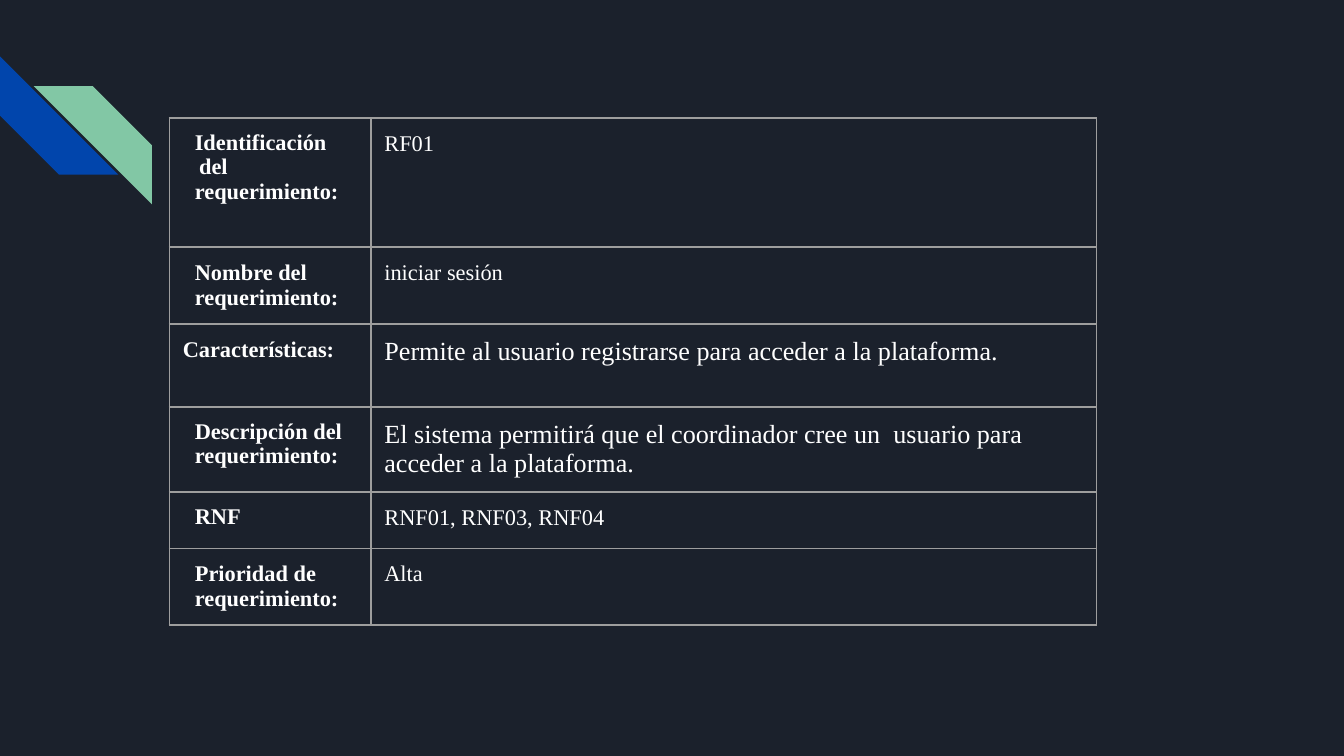
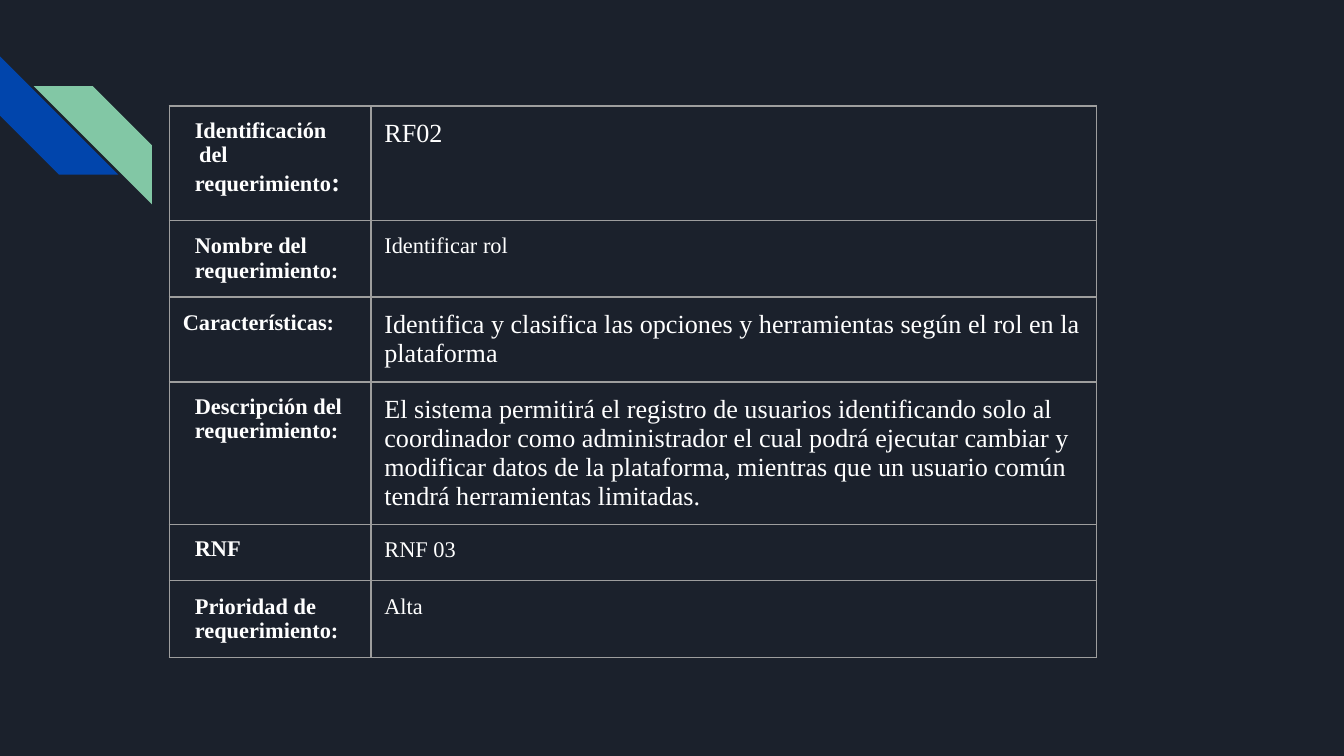
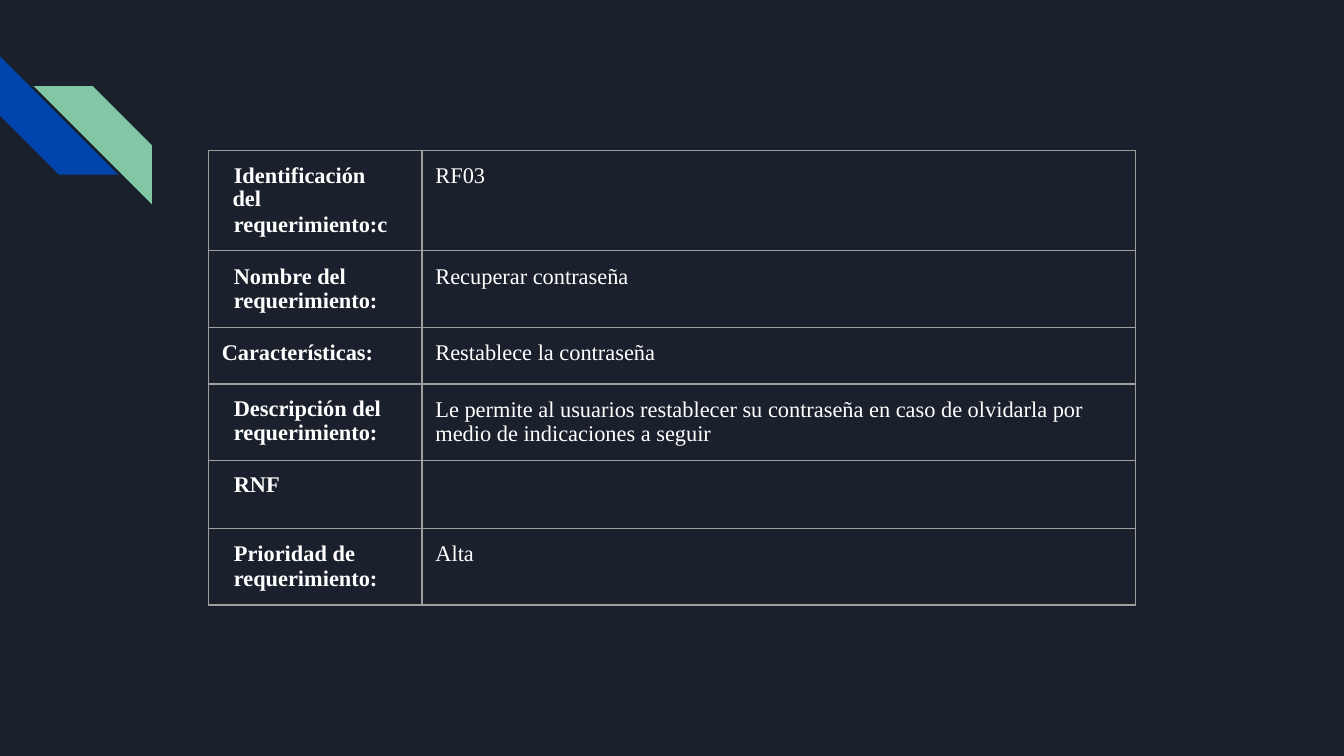
from dataclasses import dataclass

from lxml.etree import SubElement
from pptx import Presentation
from pptx.dml.color import RGBColor
from pptx.enum.shapes import MSO_SHAPE
from pptx.oxml.ns import qn
from pptx.util import Inches, Pt


@dataclass(frozen=True)
class Theme:
    """Colours, type sizes and measures of the deck."""
    back: str = "1B212C"
    blue: str = "0145AC"
    green: str = "82C7A5"
    text: str = "FFFFFF"
    rule: str = "9E9E9E"
    font: str = "Times New Roman"
    small: int = 12
    large: int = 14
    line: int = 1
    inset: float = 0.1
    row: float = 0.42
    frame: float = 3.28


THEME = Theme()
BASE = {"name": THEME.font, "size": Pt(THEME.small), "bold": False}
LABEL = {**BASE, "bold": True}
LARGE = {**BASE, "size": Pt(THEME.large)}
INSETS = {f"margin_{side}": Inches(THEME.inset)
          for side in ("left", "right", "top", "bottom")}
PLAIN = {"left": 0.09}
TIGHT = {"left": 0.09, "ratio": 0.96}
FIRST = {"left": 0.08, "right": 0.2, "first": 0.01, "ratio": 0.96}
AFTER = {"left": 0.09, "before": 0.3}
NEED = "requerimiento:"

SHEETS = [
    {"at": (1.26, 0.88), "cols": (1.5, 5.4),
     "rows": {0: 0.96, 2: 0.62},
     "head": "Identificación  del", "tail": [(NEED, LABEL)],
     "values": [
         ("RF01", BASE),
         ("iniciar sesión", BASE),
         ("Permite al usuario registrarse para acceder a la plataforma.", LARGE),
         ("El sistema permitirá que el coordinador cree un  usuario para "
          "acceder a la plataforma.", LARGE),
         ("RNF01, RNF03, RNF04", BASE),
         ("Alta", BASE)]},
    {"at": (1.26, 0.79), "cols": (1.5, 5.4),
     "rows": {0: 0.85},
     "head": "Identificación  del",
     "tail": [("requerimiento", LABEL), (":", {**LARGE, "bold": True})],
     "values": [
         ("RF02", LARGE),
         ("Identificar rol", BASE),
         ("Identifica y clasifica las opciones y herramientas según el rol "
          "en la plataforma  ", LARGE),
         ("El sistema permitirá el registro de usuarios identificando solo al "
          "coordinador como administrador el cual podrá ejecutar cambiar y "
          "modificar datos de la plataforma, mientras que un usuario común "
          "tendrá herramientas limitadas.", LARGE),
         ("RNF 03", BASE),
         ("Alta", BASE)]},
    {"at": (1.55, 1.12), "cols": (1.59, 5.31),
     "rows": {0: 0.69, 4: 0.48},
     "head": "Identificación  del", "tail": [("requerimiento:c", LABEL)],
     "values": [
         ("RF03", BASE),
         ("Recuperar contraseña", BASE),
         ("Restablece la contraseña", BASE),
         ("Le permite al usuarios restablecer su contraseña en caso de "
          "olvidarla por medio de indicaciones a seguir", BASE),
         ("", BASE),
         ("Alta", BASE)]},
]


def apply(item, values):
    """Set each attribute of item from a dict."""
    for name, value in values.items():
        setattr(item, name, value)


def paint(fill, color):
    """Give a fill one solid colour."""
    fill.solid()
    fill.fore_color.rgb = RGBColor.from_string(color)


def add_band(slide, layout, left, top, color, turn=0, flip=False):
    """Draw a diagonal band and place it on the layout."""
    side = Inches(0.88)
    band = slide.shapes.add_shape(
        MSO_SHAPE.DIAGONAL_STRIPE, Inches(left), Inches(top), side, side)
    band.shadow.inherit = False
    band.rotation = turn
    paint(band.fill, color)
    band.line.fill.background()
    if flip:
        band.element.spPr.find(qn("a:xfrm")).set("flipH", "1")
    layout.shapes.element.append(band.element)


def add_rules(cell):
    """Draw the four borders of a cell."""
    props = cell._tc.get_or_add_tcPr()
    for side in ("lnL", "lnR", "lnT", "lnB"):
        line = SubElement(props, qn(f"a:{side}"), w=str(Pt(THEME.line)))
        fill = SubElement(line, qn("a:solidFill"))
        SubElement(fill, qn("a:srgbClr"), val=THEME.rule)


def shape_para(para, left=0, right=0, first=0, ratio=None, before=None):
    """Set the indents and spacing of a paragraph."""
    props = para._p.get_or_add_pPr()
    for name, value in (("marL", left), ("marR", right), ("indent", first)):
        props.set(name, str(Inches(value)))
    if ratio:
        para.line_spacing = ratio
    if before:
        para.space_before = Pt(before)


def fill_cell(cell, paras):
    """Format a cell and write its paragraphs of styled runs."""
    apply(cell, INSETS)
    add_rules(cell)
    cell.fill.background()
    frame = cell.text_frame
    for index, (form, runs) in enumerate(paras):
        para = frame.add_paragraph() if index else frame.paragraphs[0]
        shape_para(para, **form)
        for text, style in runs:
            if not text:
                continue
            run = para.add_run()
            run.text = text
            apply(run.font, style)
            run.font.color.rgb = RGBColor.from_string(THEME.text)


def make_labels(sheet):
    """Return the paragraphs of each label in the first column."""
    need = (PLAIN, [(NEED, LABEL)])
    return [
        [(FIRST, [(sheet["head"], LABEL)]), (AFTER, sheet["tail"])],
        [(PLAIN, [("Nombre del", LABEL)]), need],
        [({}, [("Características:", LABEL)])],
        [(TIGHT, [("Descripción del  requerimiento:", LABEL)])],
        [(TIGHT, [("RNF", LABEL)])],
        [(PLAIN, [("Prioridad de", LABEL)]), need],
    ]


def add_sheet(slide, sheet):
    """Add the table of one requirement."""
    labels = make_labels(sheet)
    left, top = sheet["at"]
    side = Inches(THEME.frame)
    frame = slide.shapes.add_table(
        len(labels), 2, Inches(left), Inches(top), side, side)
    table = frame.table
    apply(table, {"first_row": False, "horz_banding": False})
    for col, width in zip(table.columns, sheet["cols"]):
        col.width = Inches(width)
    for index, row in enumerate(table.rows):
        row.height = Inches(sheet["rows"].get(index, THEME.row))
        fill_cell(row.cells[0], labels[index])
        fill_cell(row.cells[1], [({}, [sheet["values"][index]])])
    apply(frame, {"width": side, "height": side})


def main():
    """Build the deck and save it."""
    deck = Presentation()
    wide = Inches(10)
    apply(deck, {"slide_width": wide, "slide_height": wide * 9 // 16})
    layout = deck.slide_layouts[6]
    paint(layout.background.fill, THEME.back)
    slides = [deck.slides.add_slide(layout) for _ in SHEETS]
    add_band(slides[0], layout, 0, 0.42, THEME.blue, turn=270)
    add_band(slides[0], layout, 0.25, 0.64, THEME.green, flip=True)
    for slide, sheet in zip(slides, SHEETS):
        add_sheet(slide, sheet)
    deck.save("out.pptx")


if __name__ == "__main__":
    main()
